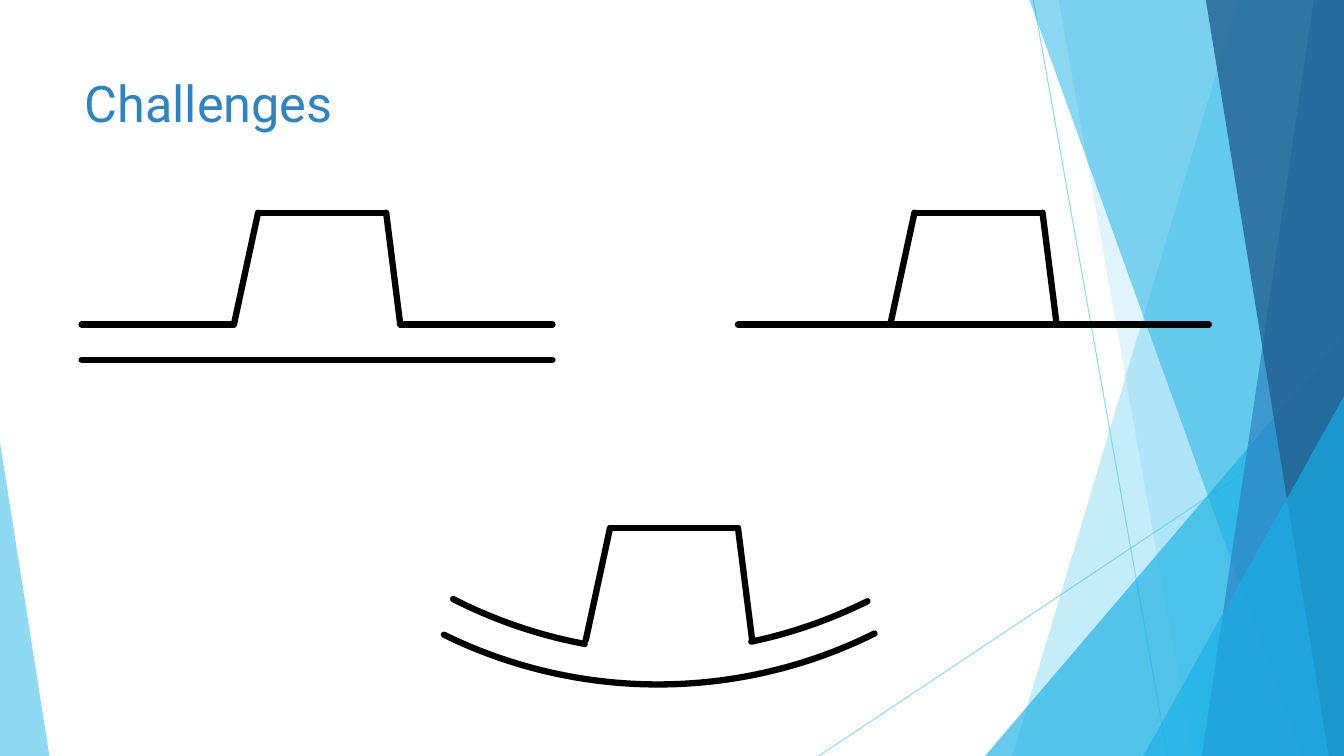
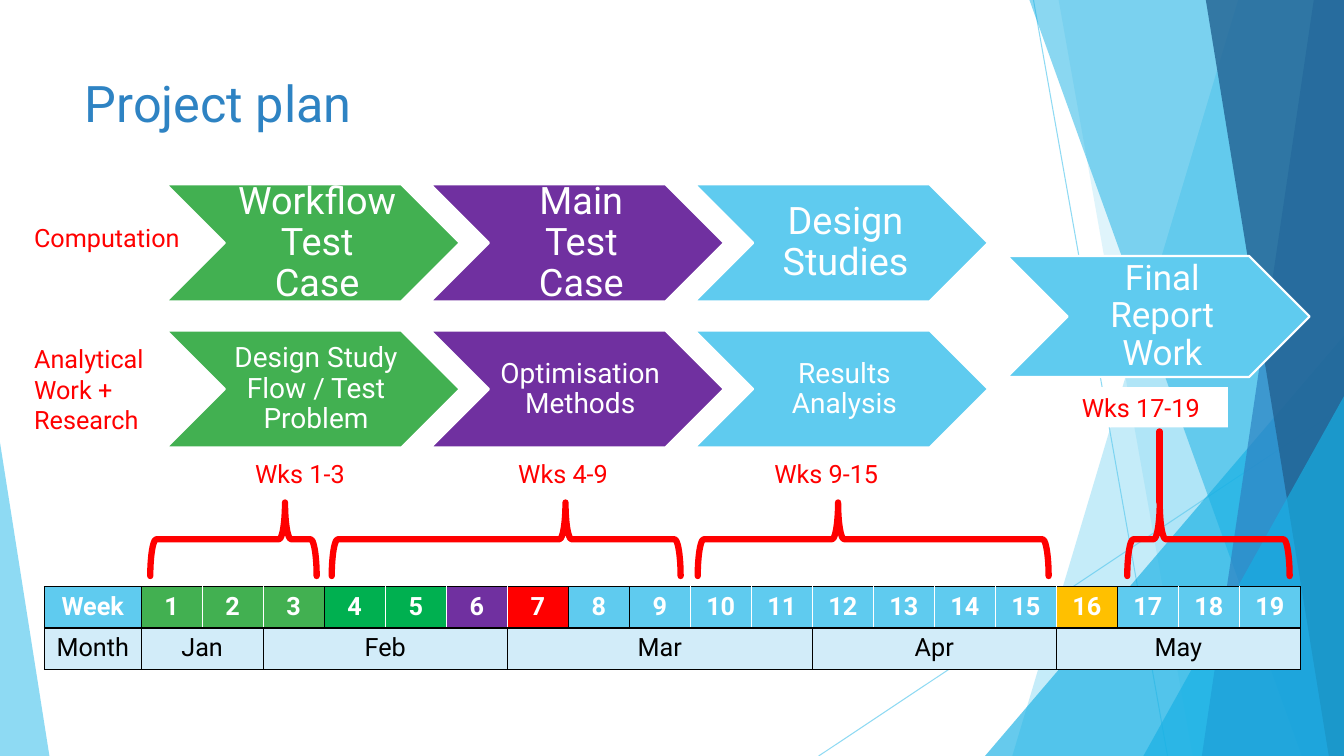
import itertools

import pptx
import pptx.dml.color
import pptx.enum.shapes
import pptx.enum.text
import pptx.oxml
import pptx.oxml.ns
import pptx.util
from pptx.util import Inches

SHAPE = pptx.enum.shapes.MSO_SHAPE
ALIGN = pptx.enum.text.PP_ALIGN
ANCHOR = pptx.enum.text.MSO_ANCHOR
qn = pptx.oxml.ns.qn

FONT = "Roboto"
WIDTH, HEIGHT = 13.33, 7.5
SKY, CYAN, BLUE, NAVY, PALE = "5FCBEF", "17B0E4", "2E83C3", "226292", "D2ECF9"
GREEN, PURPLE, RED = "42B051", "7030A0", "FF0000"
DEEP_GREEN, AMBER = "00B050", "FFC000"
WHITE, BLACK = "FFFFFF", "000000"
THICK = 4.5


def rgb(color):
    return pptx.dml.color.RGBColor.from_string(color)


def add_xml(parent, tag, **attributes):
    child = parent.makeelement(qn(tag), attributes)
    parent.append(child)
    return child


class Deck:
    """Holds the shared style and the slide being drawn."""

    def __init__(self):
        self.prs = pptx.Presentation()
        self.prs.slide_width = Inches(WIDTH)
        self.prs.slide_height = Inches(HEIGHT)
        self.layout = self.prs.slide_layouts[5]
        self.slide = None

    def new_slide(self, title):
        first = self.slide is None
        self.slide = self.prs.slides.add_slide(self.layout)
        if first:
            self.draw_facets()
        heading = self.slide.shapes.title
        heading.left, heading.top = Inches(0.74), Inches(0.67)
        heading.width, heading.height = Inches(9.4), Inches(1.44)
        frame = heading.text_frame
        frame.auto_size = pptx.enum.text.MSO_AUTO_SIZE.NONE
        frame.vertical_anchor = ANCHOR.TOP
        self.put_text(frame, title, 36, BLUE, ALIGN.LEFT)

    def draw_facets(self):
        """Draws the translucent side facets and moves them to the layout."""
        facets = [
            self.line((10.25, 0), (11.58, HEIGHT), SKY, 0.75, 70),
            self.line((WIDTH, 4.03), (8.12, HEIGHT), SKY, 0.75, 70),
            self.band(12.28, 10.04, SKY, 36),
            self.band(10.5, 11.83, SKY, 20),
            self.triangle(9.77, 3.33, 3.56, 1, CYAN, 66),
            self.band(10.21, 12.91, CYAN, 50),
            self.band(13.03, 11.92, BLUE, 70),
            self.band(11.96, 13.18, NAVY, 80),
            self.triangle(11.34, 3.93, 1.99, 1, CYAN, 66),
            self.triangle(0, 4.39, 0.49, 0, SKY, 70),
        ]
        for facet in facets:
            self.layout.shapes.element.append(facet.element)

    # Style helpers
    def fade(self, holder, opacity):
        for tint in holder.iter(qn("a:srgbClr")):
            add_xml(tint, "a:alpha", val=str(opacity * 1000))

    def paint(self, shape, fill=None, opacity=None):
        shape.shadow.inherit = False
        shape.line.fill.background()
        if fill:
            shape.fill.solid()
            shape.fill.fore_color.rgb = rgb(fill)
        else:
            shape.fill.background()
        if opacity:
            self.fade(shape.element.spPr, opacity)
        return shape

    def stroke(self, shape, color, weight):
        shape.line.color.rgb = rgb(color)
        shape.line.width = pptx.util.Pt(weight)
        outline = shape.element.spPr.find(qn("a:ln"))
        outline.set("cap", "rnd")
        add_xml(outline, "a:round")
        return outline

    def put_text(self, frame, text, size, color, align, bold=False):
        paragraph = frame.paragraphs[0]
        paragraph.alignment = align
        run = paragraph.add_run()
        run.text = text
        run.font.name = FONT
        run.font.size = pptx.util.Pt(size)
        run.font.bold = bold
        run.font.color.rgb = rgb(color)
        return paragraph

    # Elements
    def shape(self, kind, left, top, width, height, adjust=()):
        shape = self.slide.shapes.add_shape(
            kind, Inches(left), Inches(top), Inches(width), Inches(height))
        for index, value in enumerate(adjust):
            shape.adjustments[index] = value
        return shape

    def line(self, start, end, color=BLACK, weight=THICK, opacity=None):
        line = self.slide.shapes.add_connector(
            pptx.enum.shapes.MSO_CONNECTOR.STRAIGHT,
            *(Inches(value) for value in (*start, *end)))
        outline = self.stroke(line, color, weight)
        add_xml(line.element.spPr, "a:effectLst")
        if opacity:
            self.fade(outline, opacity)
        return line

    def band(self, top_x, bottom_x, color, opacity):
        """A facet from a slanted left edge to the right edge of the slide."""
        corners = [(top_x, 0), (WIDTH, 0), (WIDTH, HEIGHT), (bottom_x, HEIGHT)]
        points = [(Inches(x), Inches(y)) for x, y in corners]
        outline = self.slide.shapes.build_freeform(*points[0])
        outline.add_line_segments(points[1:], close=True)
        return self.paint(outline.convert_to_shape(), color, opacity)

    def triangle(self, left, top, width, apex, color, opacity):
        facet = self.shape(SHAPE.ISOSCELES_TRIANGLE, left, top, width,
                           HEIGHT - top, [apex])
        return self.paint(facet, color, opacity)

    def hat(self, left, base):
        """Three sides of the raised section, standing on the base line."""
        top = base - 1.11
        corners = [(left, base), (left + 0.24, top),
                   (left + 1.51, top), (left + 1.65, base)]
        for start, end in itertools.pairwise(corners):
            self.line(start, end)

    def arc(self, left, top, start, end):
        curve = self.shape(SHAPE.ARC, left, top, 9.63, 9.63, [start, end])
        curve.rotation = 153.5
        self.paint(curve)
        self.stroke(curve, BLACK, THICK)

    def chevron(self, left, top, width, height, text, size, color):
        step = self.shape(SHAPE.CHEVRON, left, top, width, height)
        self.paint(step, color)
        self.stroke(step, WHITE, 1.5)
        frame = step.text_frame
        frame.word_wrap = True
        frame.vertical_anchor = ANCHOR.MIDDLE
        frame.margin_left = Inches(size * 0.0045)
        frame.margin_right = Inches(size * 0.0015)
        frame.margin_top = frame.margin_bottom = Inches(size * 0.0015)
        paragraph = self.put_text(frame, text, size, WHITE, ALIGN.CENTER)
        paragraph.line_spacing = 0.9

    def label(self, left, top, width, height, text, align=ALIGN.CENTER):
        note = self.slide.shapes.add_textbox(
            Inches(left), Inches(top), Inches(width), Inches(height))
        note.fill.solid()
        note.fill.fore_color.rgb = rgb(WHITE)
        note.text_frame.word_wrap = True
        self.put_text(note.text_frame, text, 18, RED, align)

    def brace(self, left, span, tip):
        """A brace lying over the calendar; tip is measured from its right."""
        depth, middle = 0.73, 5.35
        brace = self.shape(SHAPE.LEFT_BRACE, left + (span - depth) / 2,
                           middle - span / 2, depth, span, [0.083, tip])
        brace.rotation = 90
        self.paint(brace)
        self.stroke(brace, RED, THICK)

    def cell(self, cell, text, fill, color, bold, left=BLACK, right=BLACK):
        properties = cell._tc.get_or_add_tcPr()
        sides = {"L": left, "R": right, "T": BLACK, "B": BLACK}
        for side, edge in sides.items():
            border = add_xml(properties, "a:ln" + side, w="12700")
            add_xml(add_xml(border, "a:solidFill"), "a:srgbClr", val=edge)
        cell.fill.solid()
        cell.fill.fore_color.rgb = rgb(fill)
        if text:
            self.put_text(cell.text_frame, text, 18, color, ALIGN.CENTER, bold)

    def calendar(self, weeks, week_colors, months, dark_edges):
        """Week numbers over months; dark_edges are weeks closed in black."""
        head, total, row = 0.96, 12.46, 0.41
        table = self.slide.shapes.add_table(
            2, weeks + 1, Inches(0.44), Inches(5.82),
            Inches(total), Inches(2 * row)).table
        table.first_row = table.horz_banding = False
        for index, column in enumerate(table.columns):
            column.width = Inches((total - head) / weeks if index else head)
        for line in table.rows:
            line.height = Inches(row)

        for week in range(weeks + 1):
            self.cell(table.cell(0, week), str(week) if week else "Week",
                      week_colors.get(week, SKY), WHITE, True,
                      BLACK if week - 1 in dark_edges or not week else WHITE,
                      BLACK if week in dark_edges else WHITE)
        start = 0
        for month, span in [("Month", 1), *months]:
            end = start + span - 1
            for column in range(start, end + 1):
                self.cell(table.cell(1, column),
                          month if column == start else "",
                          PALE, BLACK, False)
            if span > 1:
                table.cell(1, start).merge(table.cell(1, end))
            start = end + 1


def challenges(deck):
    deck.new_slide("Challenges")
    # Flat skin under the raised section, with a gap
    base = 3.22
    deck.line((0.81, 3.57), (5.48, 3.57))
    deck.line((0.81, base), (2.32, base))
    deck.line((3.97, base), (5.48, base))
    deck.hat(2.32, base)
    # Raised section directly on the skin
    deck.line((7.32, base), (11.99, base))
    deck.hat(8.83, base)
    # Curved skin
    deck.hat(5.81, 6.35)
    deck.arc(1.64, -3.16, 162, 170.74)
    deck.arc(1.71, -2.84, 162, 193.6)
    deck.arc(1.87, -3.16, 184.26, 194.14)


def project_plan(deck):
    deck.new_slide("Project plan")
    # Two rows of work steps, then the report
    rows = [
        (1.83, 27, ["Workflow Test Case", "Main Test Case", "Design Studies"]),
        (3.28, 20, ["Design Study Flow / Test Problem",
                    "Optimisation Methods", "Results Analysis"]),
    ]
    for top, size, steps in rows:
        for index, (step, color) in enumerate(zip(steps, [GREEN, PURPLE, SKY])):
            deck.chevron(1.65 + 2.62 * index, top, 2.91, 1.16, step, size, color)
    deck.chevron(9.99, 2.54, 3, 1.2, "Final Report Work", 25, SKY)
    # Row names and week ranges
    deck.label(0.24, 2.16, 1.73, 0.4, "Computation", ALIGN.LEFT)
    deck.label(0.24, 3.36, 1.41, 1.01, "Analytical Work + Research", ALIGN.LEFT)
    for index, weeks in enumerate(["Wks 1-3", "Wks 4-9", "Wks 9-15"]):
        deck.label(2.11 + 2.61 * index, 4.5, 1.73, 0.4, weeks)
    deck.label(10.45, 3.84, 1.73, 0.4, "Wks 17-19")
    # Calendar and its braces
    week_colors = {1: GREEN, 2: GREEN, 3: GREEN, 4: DEEP_GREEN, 5: DEEP_GREEN,
                   6: PURPLE, 7: RED, 16: AMBER}
    months = [("Jan", 2), ("Feb", 4), ("Mar", 5), ("Apr", 4), ("May", 4)]
    deck.calendar(19, week_colors, months, {0, 3, 7, 8, 16, 19})
    for left, span, tip in [(1.49, 1.65, 0.19), (3.29, 3.46, 0.33),
                            (6.92, 3.48, 0.6), (11.18, 1.61, 0.8)]:
        deck.brace(left, span, tip)
    deck.line((11.5, 4.98), (11.5, 4.28), RED)


def main():
    deck = Deck()
    challenges(deck)
    project_plan(deck)
    deck.prs.save("out.pptx")


if __name__ == "__main__":
    main()
